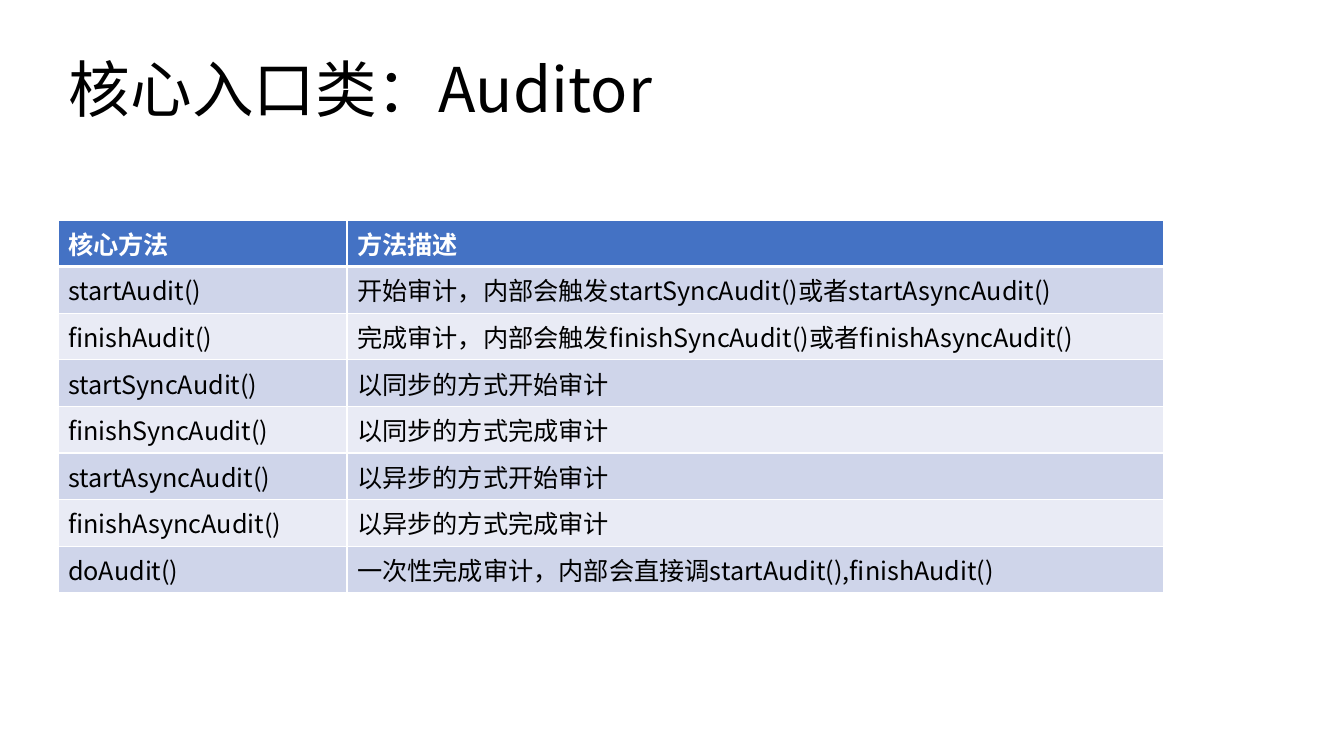
from dataclasses import dataclass

from lxml import etree
from pptx import Presentation, util as u
from pptx.dml import color
from pptx.enum import text
from pptx.oxml import ns

PIXELS_PER_INCH = 100.8
SLIDE_SIZE = (1344, 756)
TITLE_BOX = (59, 20, 1159, 146)
TABLE_BOX = (58, 220, 1106, 373)
COLUMN_WIDTHS = (289, 817)

TITLE = "核心入口类：Auditor"
METHODS = [
    ("核心方法", "方法描述"),
    ("startAudit()", "开始审计，内部会触发startSyncAudit()或者startAsyncAudit()"),
    ("finishAudit()", "完成审计，内部会触发finishSyncAudit()或者finishAsyncAudit()"),
    ("startSyncAudit()", "以同步的方式开始审计"),
    ("finishSyncAudit()", "以同步的方式完成审计"),
    ("startAsyncAudit()", "以异步的方式开始审计"),
    ("finishAsyncAudit()", "以异步的方式完成审计"),
    ("doAudit()", "一次性完成审计，内部会直接调startAudit(),finishAudit()"),
]


@dataclass(frozen=True)
class Theme:
    """Colours, font and point sizes of the slide."""
    font: str = "Noto Sans CJK SC"
    ink: str = "000000"
    white: str = "FFFFFF"
    header: str = "4472C4"
    bands: tuple = ("CFD5EA", "E9EBF5")
    title_size: int = 44
    table_size: int = 18
    thin: int = 1
    thick: int = 3


THEME = Theme()


def px(pixels):
    """Turn pixels into EMU."""
    return u.Emu(round(pixels * u.Inches(1) / PIXELS_PER_INCH))


def write_text(frame, content, *, size, ink=THEME.ink, bold=False, spacing=None):
    """Write one formatted paragraph into a text frame."""
    paragraph = frame.paragraphs[0]
    paragraph.line_spacing = spacing
    run = paragraph.add_run()
    run.text = content
    font = run.font
    font.size, font.bold, font.name = u.Pt(size), bold, THEME.font
    font.color.rgb = color.RGBColor.from_string(ink)
    properties = run._r.get_or_add_rPr()
    etree.SubElement(properties, ns.qn("a:ea"), typeface=THEME.font)


def set_borders(cell, **widths):
    """Draw white cell borders; widths are points keyed by L, R, T and B."""
    properties = cell._tc.get_or_add_tcPr()
    for index, side in enumerate("LRTB"):
        line = etree.Element(ns.qn(f"a:ln{side}"), w=str(u.Pt(widths.get(side, THEME.thin))))
        fill = etree.SubElement(line, ns.qn("a:solidFill"))
        etree.SubElement(fill, ns.qn("a:srgbClr"), val=THEME.white)
        properties.insert(index, line)


def add_title(slide, box):
    """Place the slide title in the given box."""
    frame = slide.shapes.add_textbox(*map(px, box)).text_frame
    frame.word_wrap = True
    frame.vertical_anchor = text.MSO_ANCHOR.MIDDLE
    write_text(frame, TITLE, size=THEME.title_size, spacing=0.9)


def add_method_table(slide, box):
    """Place the banded table of methods in the given box."""
    table = slide.shapes.add_table(len(METHODS), len(COLUMN_WIDTHS), *map(px, box)).table
    for column, width in zip(table.columns, COLUMN_WIDTHS):
        column.width = px(width)
    for row_index, values in enumerate(METHODS):
        is_header = row_index == 0
        background = THEME.header if is_header else THEME.bands[(row_index - 1) % 2]
        for column_index, value in enumerate(values):
            cell = table.cell(row_index, column_index)
            cell.fill.solid()
            cell.fill.fore_color.rgb = color.RGBColor.from_string(background)
            set_borders(cell,
                        T=THEME.thick if row_index == 1 else THEME.thin,
                        B=THEME.thick if is_header else THEME.thin)
            write_text(cell.text_frame, value, size=THEME.table_size, bold=is_header,
                       ink=THEME.white if is_header else THEME.ink)


def main():
    """Build and save the presentation."""
    presentation = Presentation()
    presentation.slide_width, presentation.slide_height = map(px, SLIDE_SIZE)
    slide = presentation.slides.add_slide(presentation.slide_layouts[6])
    add_title(slide, TITLE_BOX)
    add_method_table(slide, TABLE_BOX)
    presentation.save("out.pptx")


main()
